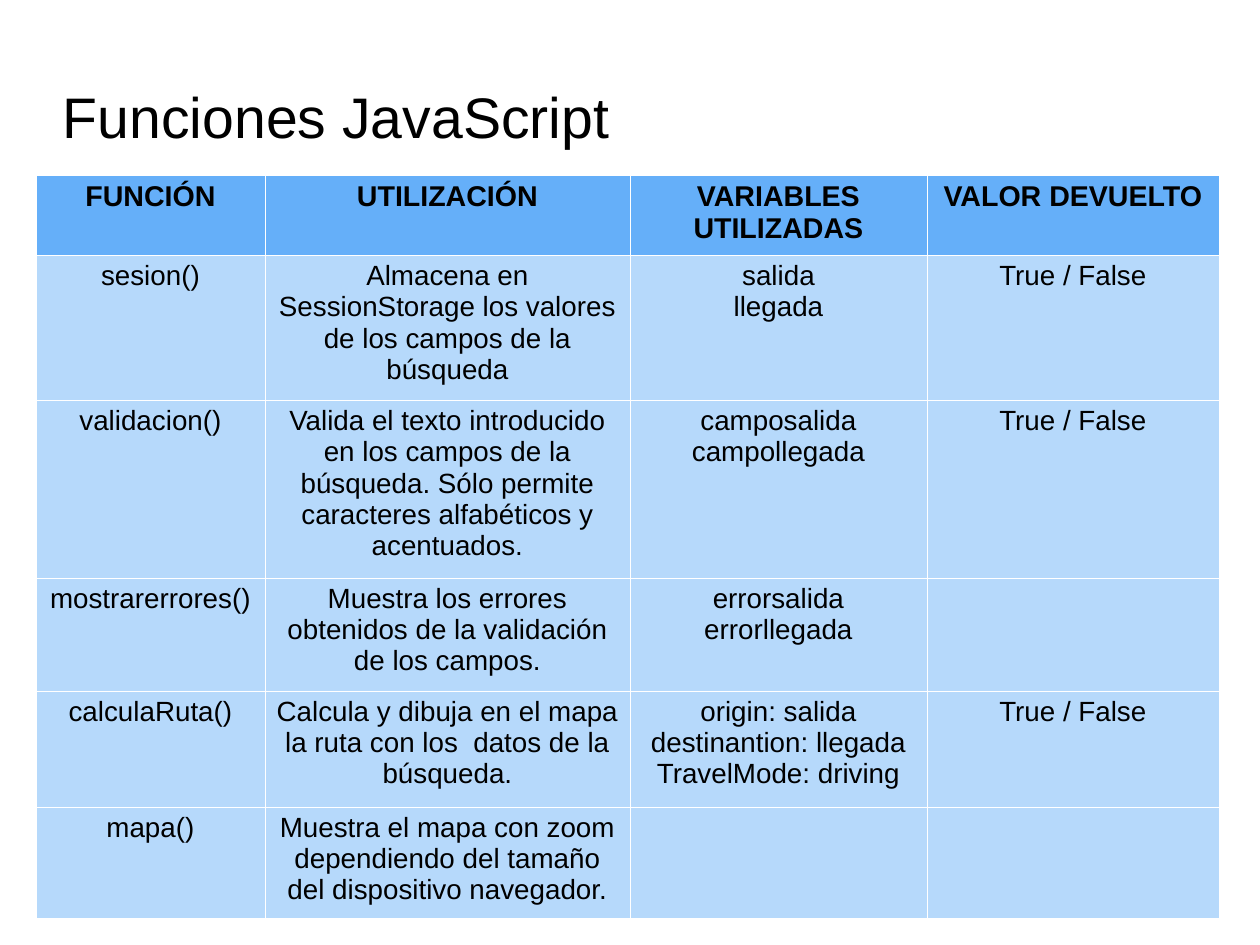
from lxml.etree import SubElement
from pptx import Presentation
from pptx.dml.color import RGBColor
from pptx.enum.text import MSO_ANCHOR, PP_ALIGN
from pptx.oxml.ns import qn
from pptx.util import Pt

PX = 8000  # EMU per px
FONT = "Arial"
BLACK = RGBColor(0x00, 0x00, 0x00)
WHITE = RGBColor(0xFF, 0xFF, 0xFF)
HEADER_BLUE = RGBColor(0x65, 0xAF, 0xF9)
BODY_BLUE = RGBColor(0xB6, 0xD9, 0xFB)
BORDER_WIDTH = Pt(0.06)

COLUMN_WIDTHS = [229, 365, 297, 292]
ROW_HEIGHTS = [77, 145, 176, 113, 116, 106]
FUNCTIONS = [
    ("FUNCIÓN", "UTILIZACIÓN", "VARIABLES UTILIZADAS", "VALOR DEVUELTO"),
    ("sesion()",
     "Almacena en SessionStorage los valores de los campos de la búsqueda",
     "salida\nllegada", "True / False"),
    ("validacion()",
     "Valida el texto introducido en los campos de la búsqueda. "
     "Sólo permite caracteres alfabéticos y acentuados.",
     "camposalida\ncampollegada", "True / False"),
    ("mostrarerrores()",
     "Muestra los errores obtenidos de la validación de los campos.",
     "errorsalida\nerrorllegada", ""),
    ("calculaRuta()",
     "Calcula y dibuja en el mapa la ruta con los  datos de la búsqueda.",
     "origin: salida\ndestinantion: llegada\nTravelMode: driving",
     "True / False"),
    ("mapa()",
     "Muestra el mapa con zoom dependiendo del tamaño "
     "del dispositivo navegador.", "", ""),
]


def px(n):
    return n * PX


def format_text(tf, size, align, bold=False):
    for p in tf.paragraphs:
        p.alignment = align
        for r in p.runs:
            r.font.name = FONT
            r.font.size = Pt(size)
            r.font.bold = bold
            r.font.color.rgb = BLACK


def add_title(slide, text, left, top, width, height):
    tf = slide.shapes.add_textbox(px(left), px(top), px(width), px(height)).text_frame
    tf.margin_left = tf.margin_right = tf.margin_top = tf.margin_bottom = 0
    tf.vertical_anchor = MSO_ANCHOR.MIDDLE
    tf.word_wrap = True
    tf.text = text
    format_text(tf, 36, PP_ALIGN.LEFT)


def set_borders(cell):
    """Put a white hairline on all four sides; call before the cell is filled."""
    tcPr = cell._tc.get_or_add_tcPr()
    for side in ("a:lnL", "a:lnR", "a:lnT", "a:lnB"):
        ln = SubElement(tcPr, qn(side), w=str(BORDER_WIDTH))
        fill = SubElement(ln, qn("a:solidFill"))
        SubElement(fill, qn("a:srgbClr"), val=str(WHITE))


def fill_cell(cell, text, is_header):
    set_borders(cell)
    cell.fill.solid()
    cell.fill.fore_color.rgb = HEADER_BLUE if is_header else BODY_BLUE
    cell.text_frame.text = text
    format_text(cell.text_frame, 18 if is_header else 17.5, PP_ALIGN.CENTER, is_header)


def add_function_table(slide, left, top):
    table = slide.shapes.add_table(
        len(ROW_HEIGHTS), len(COLUMN_WIDTHS), px(left), px(top),
        px(sum(COLUMN_WIDTHS)), px(sum(ROW_HEIGHTS))).table
    for column, width in zip(table.columns, COLUMN_WIDTHS):
        column.width = px(width)
    for i, (row, height, texts) in enumerate(zip(table.rows, ROW_HEIGHTS, FUNCTIONS)):
        row.height = px(height)
        for cell, text in zip(row.cells, texts):
            fill_cell(cell, text, is_header=i == 0)


def main():
    prs = Presentation()
    prs.slide_width, prs.slide_height = px(1260), px(945)
    slide = prs.slides.add_slide(prs.slide_layouts[6])
    add_title(slide, "Funciones JavaScript", 63, 71, 900, 90)
    add_function_table(slide, 36, 175)
    prs.save("out.pptx")


if __name__ == "__main__":
    main()
